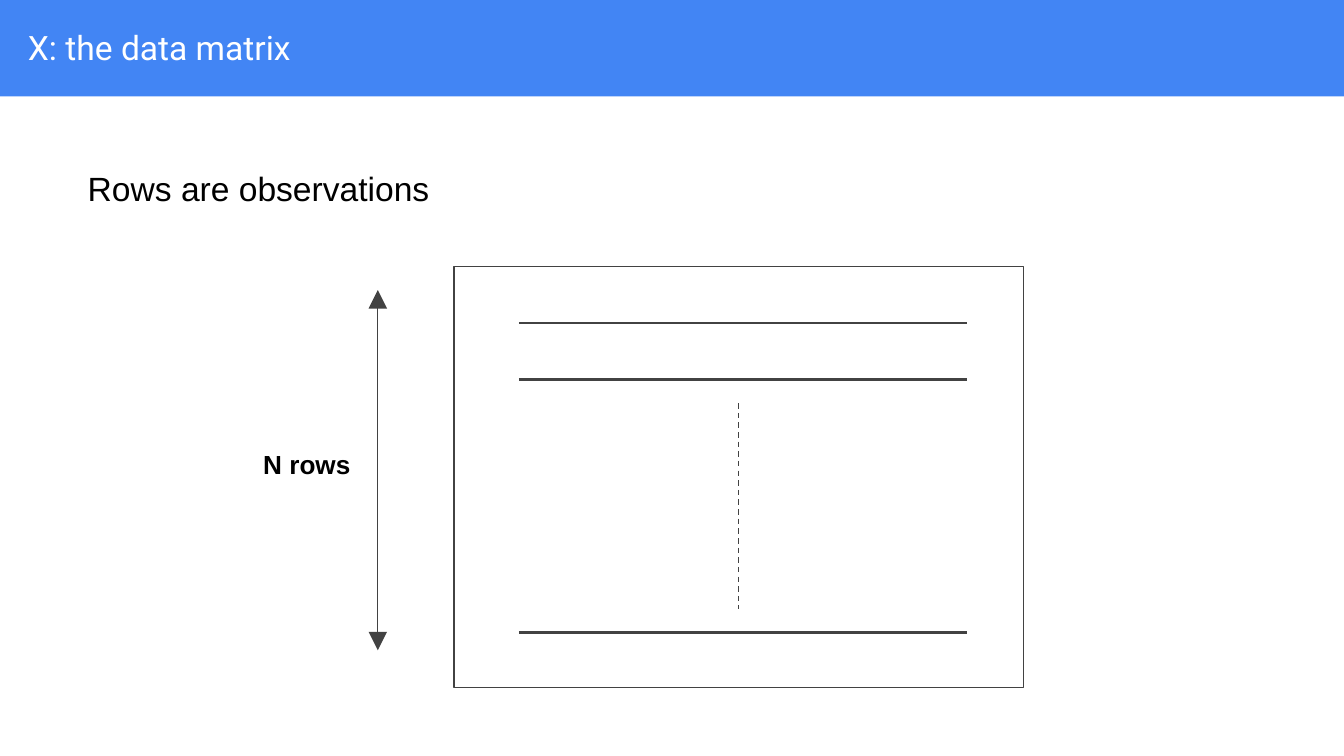
from lxml.etree import SubElement
from pptx import Presentation
from pptx.dml.color import RGBColor
from pptx.enum.dml import MSO_LINE
from pptx.enum.shapes import MSO_CONNECTOR, MSO_SHAPE
from pptx.enum.text import MSO_ANCHOR
from pptx.oxml.ns import qn
from pptx.util import Pt

COLORS = {name: RGBColor.from_string(value) for name, value in {
    "blue": "4285F4", "white": "FFFFFF", "black": "000000", "gray": "424242",
}.items()}

deck = Presentation()
deck.slide_width, deck.slide_height = Pt(720), Pt(405)
page = deck.slides.add_slide(deck.slide_layouts[6])


def add_text(text, left, top, width, height, anchor, color, font_format):
    box = page.shapes.add_textbox(Pt(left), Pt(top), Pt(width), Pt(height))
    frame_format = {"word_wrap": True, "vertical_anchor": anchor}
    for side in ("left", "top", "right", "bottom"):
        frame_format[f"margin_{side}"] = Pt(7.2)
    for name, value in frame_format.items():
        setattr(box.text_frame, name, value)
    span = box.text_frame.paragraphs[0].add_run()
    span.text = text
    span.font.color.rgb = COLORS[color]
    for name, value in font_format.items():
        setattr(span.font, name, value)


def add_line(x1, y1, x2, y2, width):
    line = page.shapes.add_connector(
        MSO_CONNECTOR.STRAIGHT, Pt(x1), Pt(y1), Pt(x2), Pt(y2))
    line.line.color.rgb = COLORS["gray"]
    line.line.width = Pt(width)
    SubElement(line._element.spPr, qn("a:effectLst"))
    return line


# Blue background with a white content panel
background = page.background.fill
background.solid()
background.fore_color.rgb = COLORS["blue"]
panel = page.shapes.add_shape(MSO_SHAPE.RECTANGLE, 0, Pt(51.7), Pt(720), Pt(353.3))
panel.shadow.inherit = False
panel.fill.solid()
panel.fill.fore_color.rgb = COLORS["white"]
panel.line.fill.background()

# Title and statement
add_text("X: the data matrix", 7.9, 1.6, 695, 47.5, MSO_ANCHOR.MIDDLE, "white",
         {"name": "Roboto", "size": Pt(18)})
add_text("Rows are observations", 39.9, 82.8, 459.4, 53.3, MSO_ANCHOR.TOP, "black",
         {"name": "Arial", "size": Pt(18)})

# Matrix outline
matrix = page.shapes.add_shape(
    MSO_SHAPE.RECTANGLE, Pt(243.2), Pt(142.7), Pt(305.2), Pt(225.5))
matrix.shadow.inherit = False
matrix.fill.background()
matrix.line.color.rgb = COLORS["gray"]
matrix.line.width = Pt(0.75)

# First, second and last row, with the rows between them dashed
for row_y in (173, 203.2, 338.8):
    add_line(278, row_y, 518, row_y, 1.5)
omitted_rows = add_line(395.8, 216, 395.8, 326.2, 0.75)
omitted_rows.line.dash_style = MSO_LINE.DASH

# Row count arrow and label
count_arrow = add_line(202.4, 155.4, 202.4, 348.4, 0.75)
for end in ("a:headEnd", "a:tailEnd"):
    SubElement(count_arrow.line._get_or_add_ln(), qn(end),
               type="triangle", w="lg", len="lg")
add_text("N rows", 133.9, 233.3, 459.4, 53.3, MSO_ANCHOR.TOP, "black",
         {"name": "Arial", "size": Pt(14), "bold": True})

deck.save("out.pptx")
